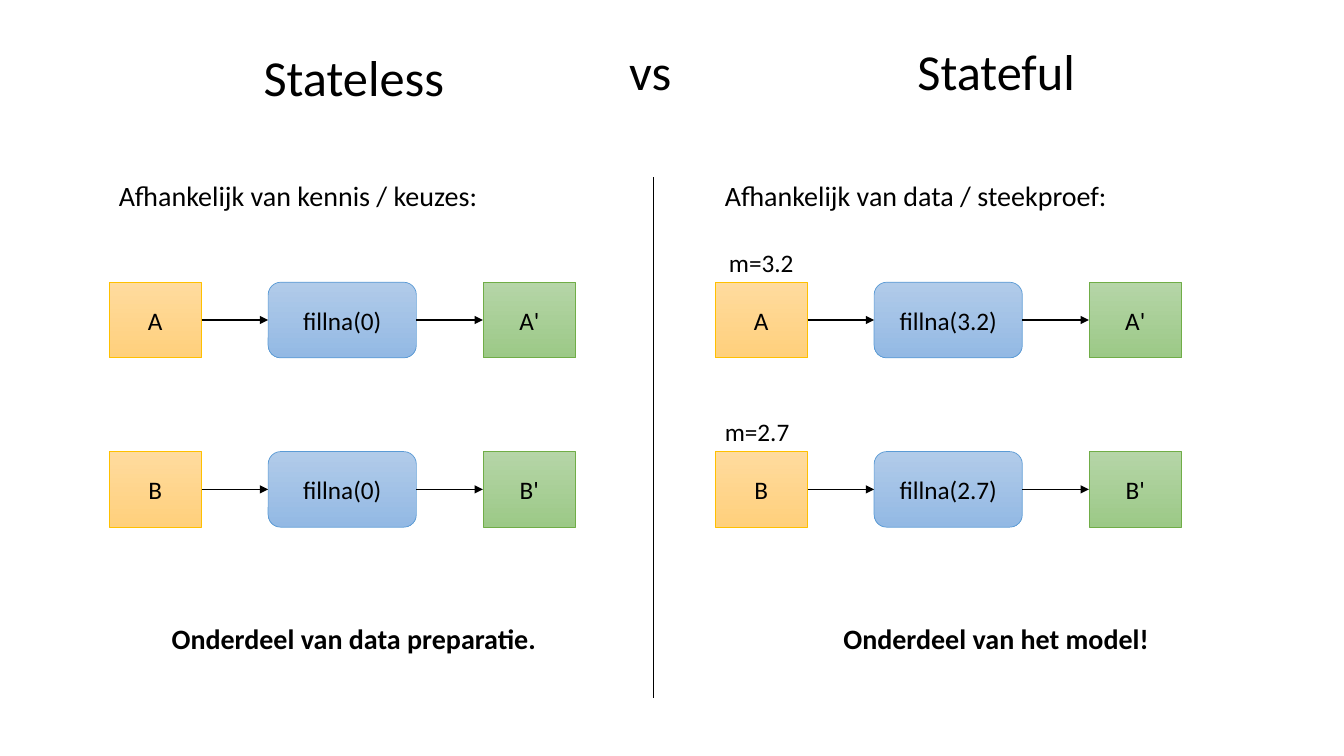
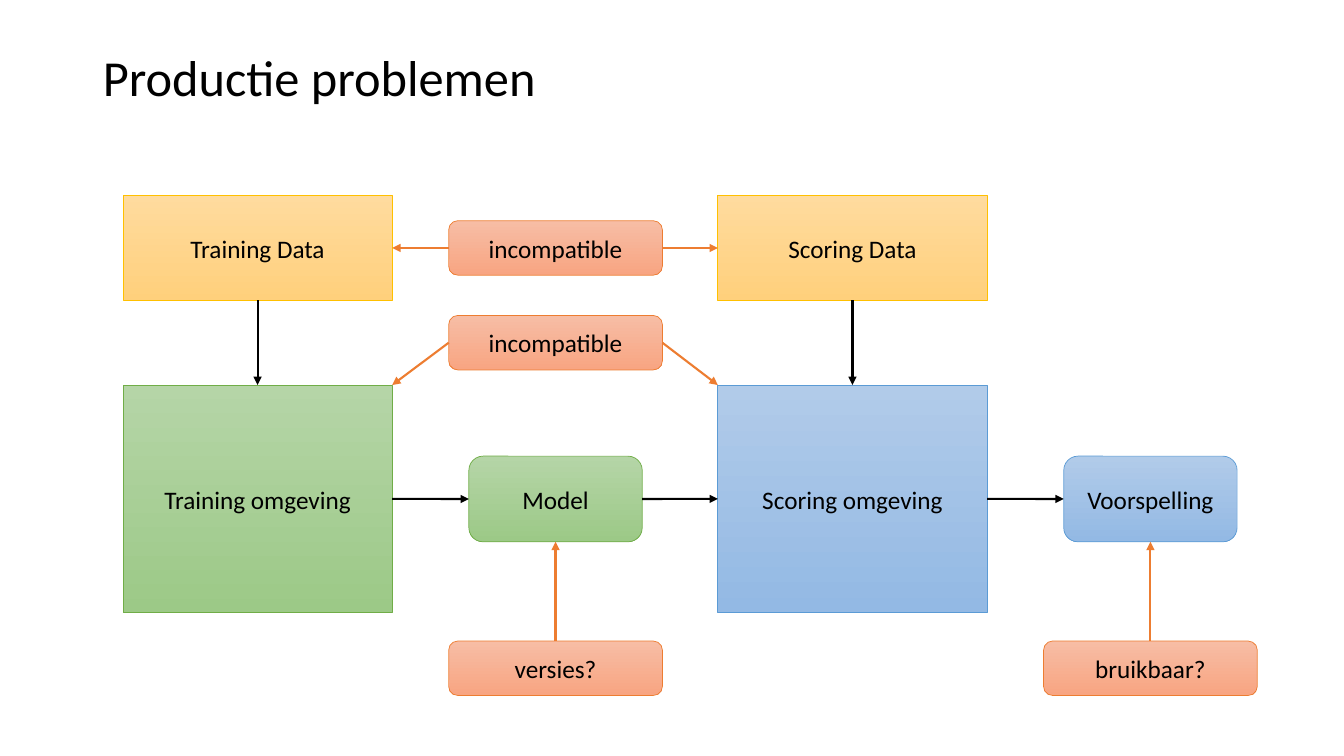
from lxml.etree import SubElement
from pptx import Presentation
from pptx.dml.color import RGBColor
from pptx.enum.shapes import MSO_CONNECTOR, MSO_SHAPE
from pptx.enum.text import MSO_ANCHOR, MSO_AUTO_SIZE, PP_ALIGN
from pptx.oxml.ns import qn
from pptx.util import Inches, Pt

COLORS = {
    "black": "000000",
    "yellow": "FFC000", "yellow_top": "FFDB9E", "yellow_bottom": "FFD07C",
    "green": "70AD47", "green_top": "B5D5A7", "green_bottom": "9CC987",
    "blue": "5B9BD5", "blue_top": "B1CBE9", "blue_bottom": "93B9E4",
    "orange": "ED7D31", "orange_top": "F7BDA5", "orange_bottom": "F8A582",
}
RECT, ROUND = MSO_SHAPE.RECTANGLE, MSO_SHAPE.ROUNDED_RECTANGLE
LEFT, CENTER = PP_ALIGN.LEFT, PP_ALIGN.CENTER
TOP, MIDDLE = MSO_ANCHOR.TOP, MSO_ANCHOR.MIDDLE
SITE_TOP, SITE_LEFT, SITE_BOTTOM, SITE_RIGHT = range(4)

LABEL = {"size": Pt(18)}
BODY = {"size": Pt(20)}
CLOSING = {"size": Pt(20), "bold": True}
HEADING = {"size": Pt(36)}


def rgb(name):
    return RGBColor.from_string(COLORS[name])


def set_all(target, values):
    for name, value in values.items():
        setattr(target, name, value)


def write(sp, text, font, align=CENTER, anchor=MIDDLE, spacing=None):
    tf = sp.text_frame
    set_all(tf, {"word_wrap": True, "auto_size": MSO_AUTO_SIZE.NONE,
                 "vertical_anchor": anchor})
    p = tf.paragraphs[0]
    set_all(p, {"alignment": align, "line_spacing": spacing})
    r = p.add_run()
    r.text = text
    set_all(r.font, {"name": "Calibri", **font})
    r.font.color.rgb = rgb("black")


def add_text(slide, box, text, font, **layout):
    sp = slide.shapes.add_textbox(*map(Inches, box))
    write(sp, text, font, **layout)


def add_title(slide, box, text, align=LEFT):
    sp = slide.shapes.title
    set_all(sp, dict(zip(("left", "top", "width", "height"), map(Inches, box))))
    write(sp, text, HEADING, align=align, spacing=0.9)


def add_box(slide, kind, box, text, color):
    sp = slide.shapes.add_shape(kind, *map(Inches, box))
    sp.shadow.inherit = False
    sp.fill.gradient()
    sp.fill.gradient_angle = 270
    for stop, end in zip(sp.fill.gradient_stops, ("top", "bottom")):
        stop.color.rgb = rgb(f"{color}_{end}")
    sp.line.color.rgb = rgb(color)
    sp.line.width = Pt(0.5)
    write(sp, text, LABEL)
    return sp


def add_line(slide, start, end, color="black", width=1):
    points = map(Inches, (*start, *end))
    line = slide.shapes.add_connector(MSO_CONNECTOR.STRAIGHT, *points)
    line.line.color.rgb = rgb(color)
    line.line.width = Pt(width)
    SubElement(line.element.spPr, qn("a:effectLst"))
    return line


def add_arrow(slide, source, source_site, target, target_site, **style):
    arrow = add_line(slide, (0, 0), (1, 1), **style)
    arrow.begin_connect(source, source_site)
    if target_site is None:
        arrow.end_x, arrow.end_y = map(Inches, target)
    else:
        arrow.end_connect(target, target_site)
    ln = arrow.element.spPr.find(qn("a:ln"))
    SubElement(ln, qn("a:tailEnd"), type="triangle")


def add_flow(slide, x, y, name, step):
    source = add_box(slide, RECT, (x, y, 0.92, 0.75), name, "yellow")
    action = add_box(slide, ROUND, (x + 1.58, y, 1.47, 0.75), step, "blue")
    result = add_box(slide, RECT, (x + 3.71, y, 0.92, 0.75), f"{name}'", "green")
    add_arrow(slide, source, SITE_RIGHT, action, SITE_LEFT)
    add_arrow(slide, action, SITE_RIGHT, result, SITE_LEFT)


def add_column(slide, x, width, intro, closing, steps):
    add_text(slide, (x, 1.76, width, 0.4), intro, BODY,
             align=LEFT, anchor=TOP, spacing=0.9)
    add_text(slide, (x, 6.15, width, 0.4), closing, CLOSING, spacing=0.9)
    for row, (name, step) in enumerate(zip("AB", steps)):
        add_flow(slide, x, 2.8 + row * 1.68, name, step)


def build_comparison(slide):
    left, right = (1.08, 4.86), (7.09, 5.58)
    add_title(slide, (left[0], 0.4, left[1], 0.79), "Stateless", CENTER)
    add_text(slide, (6.14, 0.34, 0.68, 0.79), "vs", HEADING, align=LEFT, spacing=0.9)
    add_text(slide, (right[0], 0.34, right[1], 0.79), "Stateful", HEADING, spacing=0.9)
    add_line(slide, (6.48, 1.76), (6.48, 6.92))
    add_column(slide, *left, "Afhankelijk van kennis / keuzes:",
               "Onderdeel van data preparatie.", ("fillna(0)", "fillna(0)"))
    add_column(slide, *right, "Afhankelijk van data / steekproef:",
               "Onderdeel van het model!", ("fillna(3.2)", "fillna(2.7)"))
    for y, mean, align in ((2.4, "m=3.2", CENTER), (4.08, "m=2.7", LEFT)):
        add_text(slide, (right[0], y, 0.92, 0.4), mean, LABEL, align=align, anchor=TOP)


def add_stage(slide, x, name, color, output):
    data = add_box(slide, RECT, (x, 1.94, 2.67, 1.04), f"{name} Data", "yellow")
    env = add_box(slide, RECT, (x, 3.82, 2.67, 2.26), f"{name} omgeving", color)
    out = add_box(slide, ROUND, (x + 3.43, 4.525, 1.72, 0.85), output, color)
    add_arrow(slide, data, SITE_BOTTOM, env, SITE_TOP, width=1.5)
    add_arrow(slide, env, SITE_RIGHT, out, SITE_LEFT, width=1.5)
    return data, env, out


def add_problem(slide, x, y, text, targets):
    sp = add_box(slide, ROUND, (x, y, 2.12, 0.54), text, "orange")
    for site, target, target_site in targets:
        add_arrow(slide, sp, site, target, target_site, color="orange", width=1.5)


def build_problems(slide):
    add_title(slide, (0.92, 0.4, 11.5, 0.79), "Productie problemen")
    training_x, scoring_x = 1.22, 7.12
    train_data, _, model = add_stage(slide, training_x, "Training", "green", "Model")
    score_data, score_env, forecast = add_stage(
        slide, scoring_x, "Scoring", "blue", "Voorspelling")
    add_arrow(slide, model, SITE_RIGHT, score_env, SITE_LEFT, width=1.5)
    offset = 3.23
    add_problem(slide, training_x + offset, 2.19, "incompatible",
                ((SITE_LEFT, train_data, SITE_RIGHT),
                 (SITE_RIGHT, score_data, SITE_LEFT)))
    add_problem(slide, training_x + offset, 3.13, "incompatible",
                ((SITE_LEFT, (training_x + 2.67, 3.82), None),
                 (SITE_RIGHT, (scoring_x, 3.82), None)))
    add_problem(slide, training_x + offset, 6.36, "versies?",
                ((SITE_TOP, model, SITE_BOTTOM),))
    add_problem(slide, scoring_x + offset, 6.36, "bruikbaar?",
                ((SITE_TOP, forecast, SITE_BOTTOM),))


def main():
    prs = Presentation()
    prs.slide_width, prs.slide_height = Inches(13.33), Inches(7.5)
    for build in (build_comparison, build_problems):
        build(prs.slides.add_slide(prs.slide_layouts[5]))
    prs.save("out.pptx")


if __name__ == "__main__":
    main()
